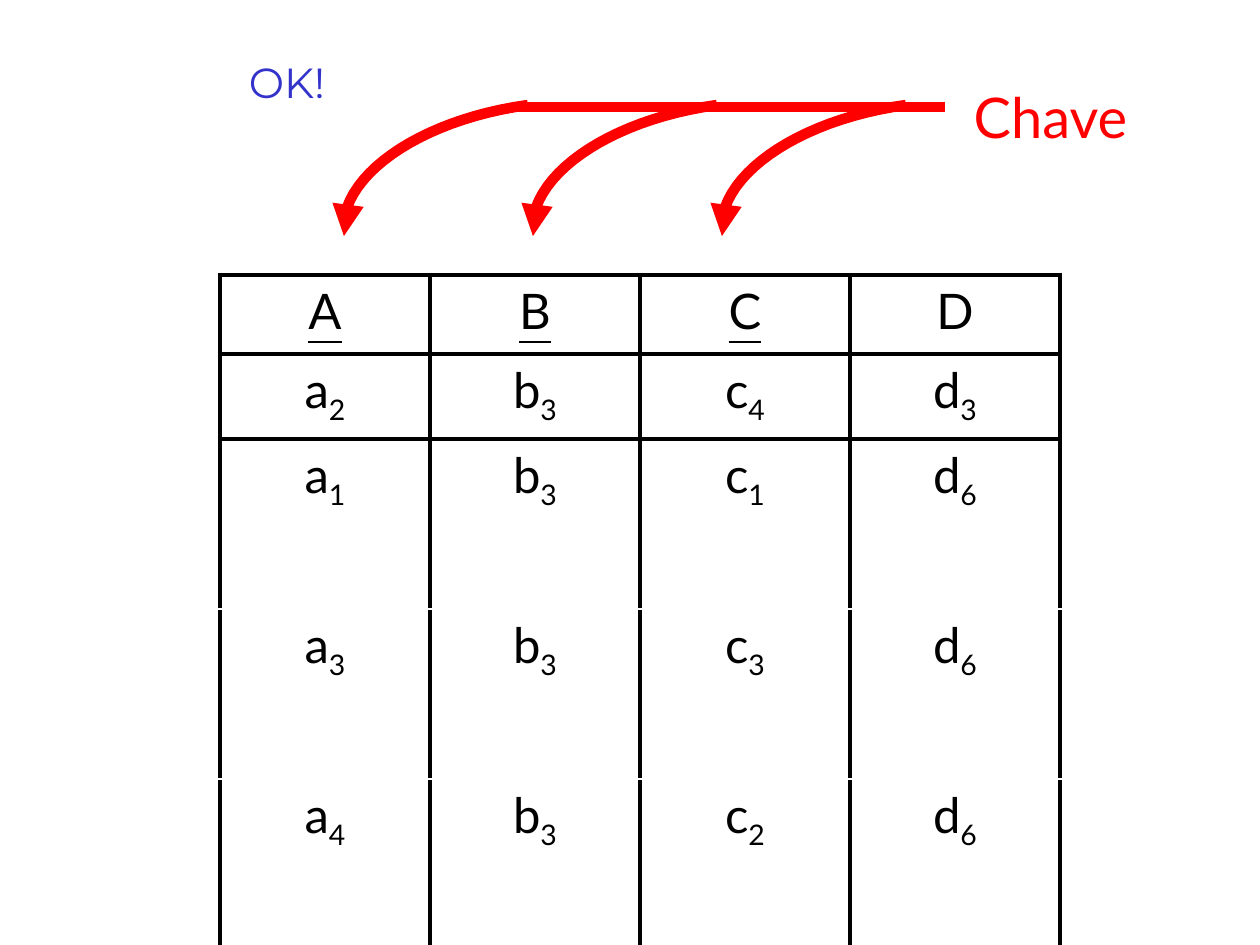
from lxml import etree
from pptx import Presentation
from pptx import util as u
from pptx.dml.color import RGBColor
from pptx.enum import shapes, text
from pptx.oxml import ns

PX = 914400 / 126
BLACK, RED, BLUE = "000000", "FF0000", "3333CC"
ATTRIBUTES = "ABCD"
UNDERLINED = "ABC"
TUPLES = ["2343", "1316", "3336", "4326"]
COLUMN_WIDTH = 210
ROW_HEIGHTS = [79, 85, 170, 170, 170]
# Curve from arrow tip to the key line, for the first key column
TIP, CONTROL_1, CONTROL_2, TAIL = (344, 236), (336, 178), (418, 120), (528, 105)
ARROW_STEP = 189


def px(value):
    return u.Emu(round(value * PX))


def color(value):
    return RGBColor.from_string(value)


def add_node(parent, tag, **attributes):
    return etree.SubElement(parent, ns.qn(tag), attributes)


def add_solid_line(parent, tag, points, value):
    line = add_node(parent, tag, w=str(u.Pt(points)))
    add_node(add_node(line, "a:solidFill"), "a:srgbClr", val=value)
    return line


def style_paragraph(paragraph, size, value, font="Lato", before=0):
    paragraph.alignment = text.PP_ALIGN.CENTER
    paragraph.space_before = u.Pt(before)
    paragraph.font.size = u.Pt(size)
    paragraph.font.name = font
    paragraph.font.color.rgb = color(value)


def add_label(slide, box, wording, size, value, **style):
    shape = slide.shapes.add_textbox(*map(px, box))
    shape.text_frame.word_wrap = True
    paragraph = shape.text_frame.paragraphs[0]
    run = paragraph.add_run()
    run.text = wording
    style_paragraph(paragraph, size, value, **style)
    return run


def outline_text(run, value):
    properties = run.font._element
    properties.insert(0, add_solid_line(properties, "a:ln", 1, value))


def style_line(shape):
    shape.line.color.rgb = color(RED)
    shape.line.width = u.Pt(6)


def add_key_line(slide, left, right, y):
    connector = slide.shapes.add_connector(
        shapes.MSO_CONNECTOR.STRAIGHT, px(left), px(y), px(right), px(y))
    style_line(connector)
    add_node(connector._element.spPr, "a:effectLst")


def curve_point(t):
    weights = ((1 - t) ** 3, 3 * t * (1 - t) ** 2, 3 * t * t * (1 - t), t ** 3)
    points = (TIP, CONTROL_1, CONTROL_2, TAIL)
    return [sum(w * point[axis] for w, point in zip(weights, points))
            for axis in (0, 1)]


def add_curved_arrow(slide, offset, steps=24):
    points = [(px(x + offset), px(y)) for x, y in
              (curve_point(i / steps) for i in range(steps + 1))]
    builder = slide.shapes.build_freeform(*points[0])
    builder.add_line_segments(points[1:], close=False)
    shape = builder.convert_to_shape()
    shape.shadow.inherit = False
    shape.fill.background()
    style_line(shape)
    add_node(shape._element.spPr.find(ns.qn("a:ln")), "a:headEnd", type="triangle")


def fill_cell(cell, name, index="", borders="LR"):
    paragraph = cell.text_frame.paragraphs[0]
    run = paragraph.add_run()
    run.text = name
    if name in UNDERLINED:
        run.font.underline = True
    if index:
        subscript = paragraph.add_run()
        subscript.text = index
        subscript.font._element.set("baseline", "-25000")
    style_paragraph(paragraph, 28, BLACK, before=7)
    properties = cell._tc.get_or_add_tcPr()
    for side in borders:
        add_solid_line(properties, f"a:ln{side}", 3, BLACK)
    cell.fill.background()


def add_relation(slide, left, top):
    frame = slide.shapes.add_table(
        len(ROW_HEIGHTS), len(ATTRIBUTES), px(left), px(top),
        px(COLUMN_WIDTH * len(ATTRIBUTES)), px(sum(ROW_HEIGHTS)))
    table = frame.table
    table.first_row = table.horz_banding = False
    for row, height in zip(table.rows, ROW_HEIGHTS):
        row.height = px(height)
    for column, name in enumerate(ATTRIBUTES):
        table.columns[column].width = px(COLUMN_WIDTH)
        fill_cell(table.cell(0, column), name, borders="LRTB")
        for row, indices in enumerate(TUPLES, 1):
            borders = {1: "LRT", len(TUPLES): "LRB"}.get(row, "LR")
            fill_cell(table.cell(row, column), name.lower(), indices[column], borders)


def main():
    presentation = Presentation()
    presentation.slide_width, presentation.slide_height = px(1260), px(945)
    slide = presentation.slides.add_slide(presentation.slide_layouts[6])

    # Relation with its key columns underlined
    add_relation(slide, 220, 275)

    # Key label and arrows to its columns
    add_label(slide, (914, 76, 273, 84), "Chave", 32, RED, before=8)
    for column in range(len(UNDERLINED)):
        add_curved_arrow(slide, column * ARROW_STEP)
    add_key_line(slide, 514, 945, 107)

    # Verdict
    verdict = add_label(slide, (224, 50, 126, 89), "OK!", 24, BLUE, font="Montserrat")
    outline_text(verdict, BLUE)

    presentation.save("out.pptx")


if __name__ == "__main__":
    main()
